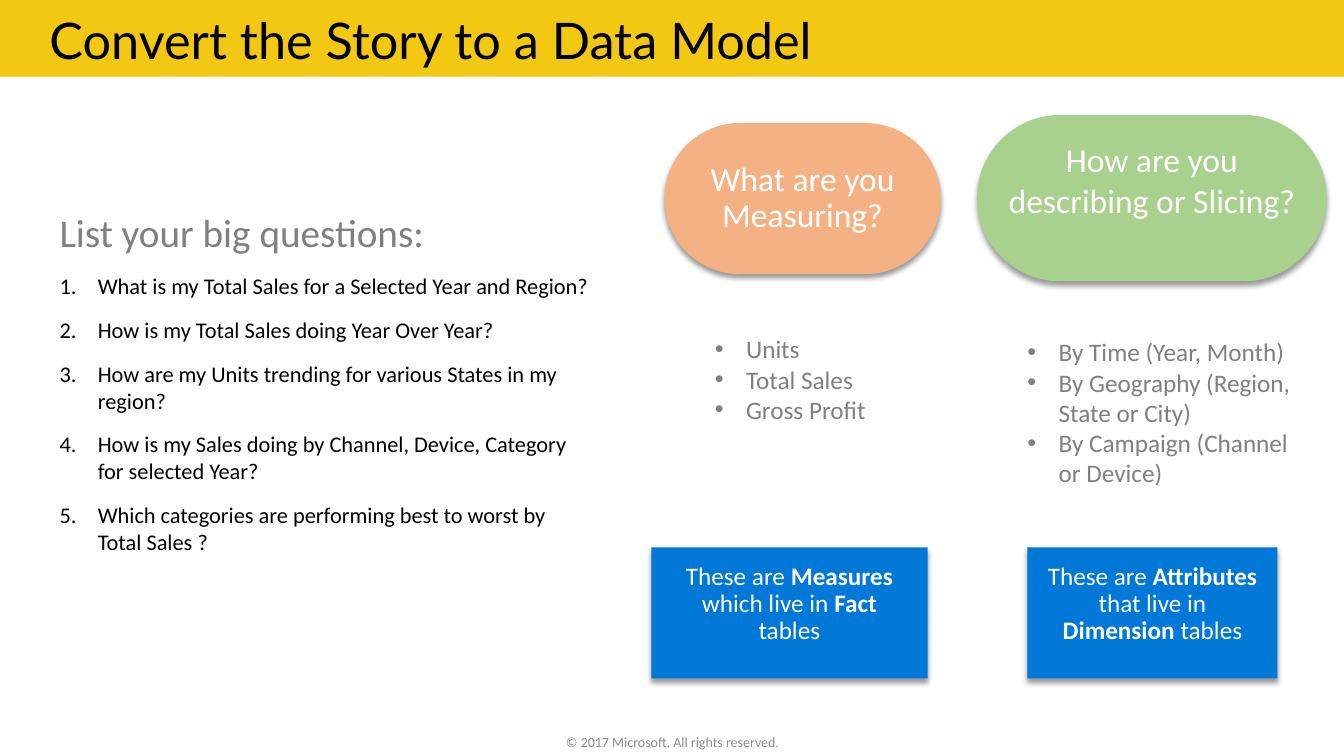
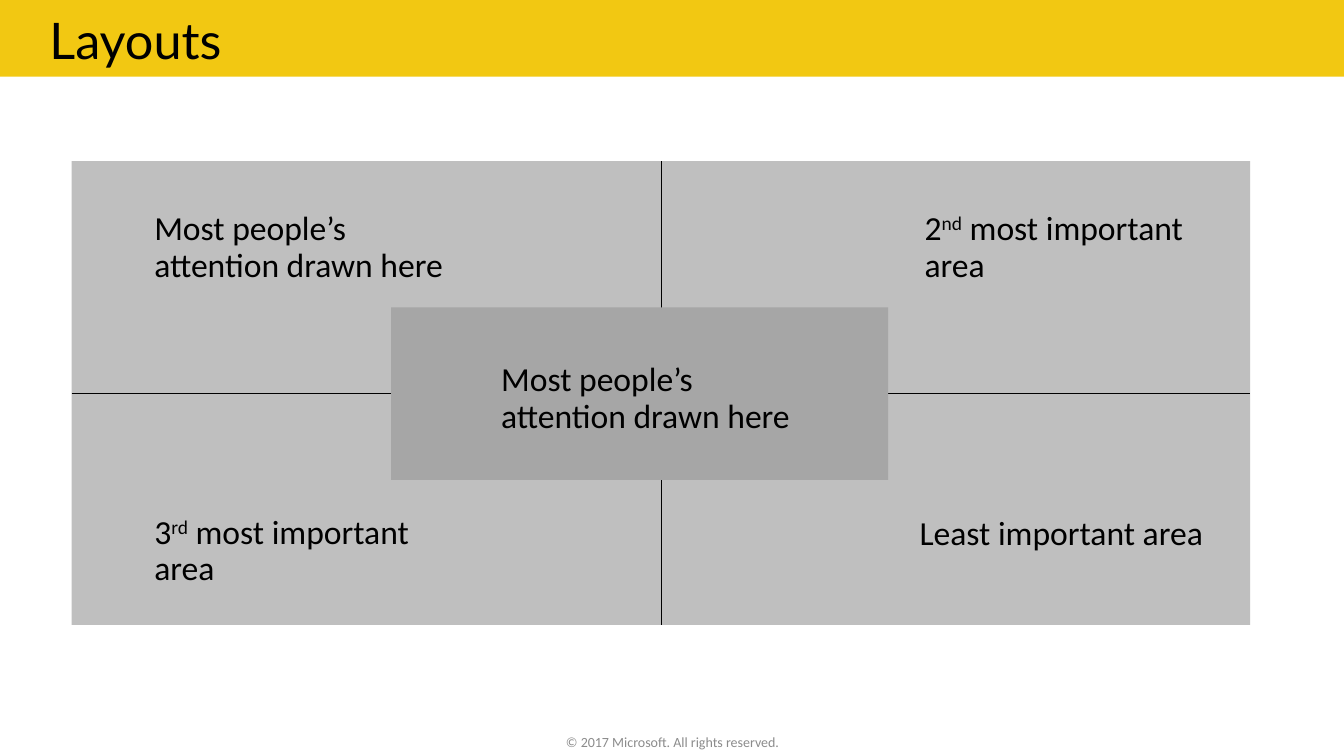
from lxml import etree
from pptx import Presentation
from pptx.dml.color import RGBColor
from pptx.enum.shapes import MSO_CONNECTOR, MSO_SHAPE
from pptx.enum.text import MSO_ANCHOR, MSO_AUTO_SIZE, PP_ALIGN
from pptx.oxml.ns import qn
from pptx.util import Inches, Pt

RECTANGLE, ROUNDED = MSO_SHAPE.RECTANGLE, MSO_SHAPE.ROUNDED_RECTANGLE
STRAIGHT = MSO_CONNECTOR.STRAIGHT
TOP, MIDDLE = MSO_ANCHOR.TOP, MSO_ANCHOR.MIDDLE
LEFT, CENTER = PP_ALIGN.LEFT, PP_ALIGN.CENTER
NO_AUTOFIT = MSO_AUTO_SIZE.NONE

BLACK = RGBColor(0x00, 0x00, 0x00)
WHITE = RGBColor(0xFF, 0xFF, 0xFF)
YELLOW = RGBColor(0xF2, 0xC8, 0x12)
ORANGE = RGBColor(0xF4, 0xB1, 0x83)
GREEN = RGBColor(0xA9, 0xD1, 0x8E)
BLUE = RGBColor(0x00, 0x78, 0xD7)
TEXT_GRAY = RGBColor(0x80, 0x80, 0x80)
FOOTER_GRAY = RGBColor(0x8C, 0x8C, 0x8C)
AREA_GRAY = RGBColor(0xBF, 0xBF, 0xBF)
CENTER_GRAY = RGBColor(0xA6, 0xA6, 0xA6)

TITLE_FONT, BODY_FONT = "Lato", "Calibri"
SLIDE_WIDTH, SLIDE_HEIGHT = 13.33, 7.5
DEFAULT_INSETS, WIDE_INSETS, NO_INSETS = (0.1, 0.05), (0.2, 0.16), (0, 0)
COMPARISON_LAYOUT, TITLE_ONLY_LAYOUT = 4, 5
BULLET = ("buChar", {"char": "•"})
NUMBER = ("buAutoNum", {"type": "arabicPeriod"})

BOLD = {"bold": True}
SUPERSCRIPT = "30000"
FOOTER = "© 2017 Microsoft. All rights reserved."

MODEL_TITLE = "Convert the Story to a Data Model"
QUESTION_HEADING = "List your big questions:"
QUESTIONS = [
    "What is my Total Sales for a Selected Year and Region?",
    "How is my Total Sales doing Year Over Year?",
    "How are my Units trending for various States in my region?",
    "How is my Sales doing by Channel, Device, Category for selected Year?",
    "Which categories are performing best to worst by Total Sales ?",
]
QUESTION_BOX = (0.39, 1.91, 5.7, 4.06)

MODEL_COLUMNS = [
    {
        "placeholder": 2,
        "question": "What are you Measuring?",
        "question_box": (6.59, 1.22, 2.74, 1.5),
        "question_fill": ORANGE,
        "question_format": {"anchor": MIDDLE, "line_spacing": 0.9},
        "items": ["Units", "Total Sales", "Gross Profit"],
        "items_box": (6.89, 3.15, 2.45, 1.5),
        "answer": [("These are ", {}), ("Measures", BOLD), (" which live in ", {}),
                   ("Fact", BOLD), (" tables", {})],
        "answer_box": (6.46, 5.43, 2.74, 1.3),
    },
    {
        "placeholder": 4,
        "question": "How are you describing or Slicing?",
        "question_box": (9.69, 1.14, 3.47, 1.65),
        "question_fill": GREEN,
        "question_format": {},
        "items": ["By Time (Year, Month)", "By Geography (Region, State or City)",
                  "By Campaign (Channel or Device)"],
        "items_box": (9.99, 3.18, 3.05, 2.11),
        "answer": [("These are ", {}), ("Attributes", BOLD), (" that live in ", {}),
                   ("Dimension", BOLD), (" tables", {})],
        "answer_box": (10.19, 5.43, 2.48, 1.3),
    },
]

LAYOUT_TITLE = "Layouts"
AREA_BOX = (0.71, 1.6, 11.69, 4.6)
CENTER_BOX = (3.88, 3.05, 4.93, 1.71)
LABEL_WIDTH, LABEL_HEIGHT = 3.38, 1.05
ATTENTION = [("Most people’s attention drawn here", {})]
AREA_LABELS = [
    (1.33, 1.94, ATTENTION),
    (4.77, 3.44, ATTENTION),
    (1.33, 4.95, [("3", {}), ("rd", {"baseline": SUPERSCRIPT}), (" most important area", {})]),
    (8.97, 1.94, [("2", {}), ("nd", {"baseline": SUPERSCRIPT}), (" most important area", {})]),
    (8.92, 4.96, [("Least important area", {})]),
]


def set_frame(shape, insets=DEFAULT_INSETS, anchor=TOP):
    horizontal, vertical = (Inches(inset) for inset in insets)
    values = {
        "auto_size": NO_AUTOFIT, "word_wrap": True, "vertical_anchor": anchor,
        "margin_left": horizontal, "margin_right": horizontal,
        "margin_top": vertical, "margin_bottom": vertical,
    }
    for name, value in values.items():
        setattr(shape.text_frame, name, value)


def write_paragraph(paragraph, text, size, color, font=BODY_FONT, align=LEFT,
                    line_spacing=1.0, before=0, after=0, bullet=None, indent=0):
    """Write plain text, or a list of (text, format) runs, into the paragraph."""
    values = {"alignment": align, "line_spacing": line_spacing,
              "space_before": Pt(before), "space_after": Pt(after)}
    for name, value in values.items():
        setattr(paragraph, name, value)
    properties = paragraph._p.get_or_add_pPr()
    properties.set("marL", str(Inches(indent)))
    properties.set("indent", str(-Inches(indent)))
    tag, attributes = bullet or ("buNone", {})
    etree.SubElement(properties, qn(f"a:{tag}"), attributes)
    for run_text, run_format in [(text, {})] if isinstance(text, str) else text:
        run = paragraph.add_run()
        run.text = run_text
        run.font.color.rgb = color
        for name, value in {"name": font, "size": Pt(size),
                            "bold": run_format.get("bold", False)}.items():
            setattr(run.font, name, value)
        if "baseline" in run_format:
            run._r.get_or_add_rPr().set("baseline", run_format["baseline"])


def place(shape, box):
    for name, value in zip(("left", "top", "width", "height"), box):
        setattr(shape, name, Inches(value))


def add_block(slide, geometry, box, fill, shadow=False):
    shape = slide.shapes.add_shape(geometry, *map(Inches, box))
    shape.fill.solid()
    shape.fill.fore_color.rgb = fill
    shape.line.fill.background()
    shape.shadow.inherit = False
    if shadow:
        effects = shape._element.spPr.find(qn("a:effectLst"))
        outer = etree.SubElement(effects, qn("a:outerShdw"), {
            "blurRad": str(Pt(4)), "dist": str(Pt(3)), "dir": "5400000", "rotWithShape": "0"})
        color = etree.SubElement(outer, qn("a:srgbClr"), {"val": str(BLACK)})
        etree.SubElement(color, qn("a:alpha"), {"val": "40000"})
    return shape


def add_label(slide, box, text, size, color, insets=DEFAULT_INSETS, **paragraph_format):
    label = slide.shapes.add_textbox(*map(Inches, box))
    set_frame(label, insets)
    write_paragraph(label.text_frame.paragraphs[0], text, size, color, **paragraph_format)


def add_divider(slide, start, end):
    line = slide.shapes.add_connector(STRAIGHT, *map(Inches, start + end))
    line.line.color.rgb = BLACK
    line.line.width = Pt(0.5)
    etree.SubElement(line._element.spPr, qn("a:effectLst"))


def add_slide(presentation, layout, title_text):
    """Add a slide with the shared band, title and footer."""
    slide = presentation.slides.add_slide(presentation.slide_layouts[layout])
    title = slide.shapes.title
    band = add_block(slide, RECTANGLE, (0, 0, SLIDE_WIDTH, 0.76), YELLOW)
    title._element.addprevious(band._element)
    place(title, (0.39, 0.04, 12.14, 0.72))
    set_frame(title)
    write_paragraph(title.text_frame.paragraphs[0], title_text, 36, BLACK, font=TITLE_FONT)
    add_label(slide, (4.42, 7.23, 4.5, 0.25), FOOTER, 10, FOOTER_GRAY, align=CENTER)
    return slide


def fill_list(placeholder, box, items, heading=None, **item_format):
    place(placeholder, box)
    set_frame(placeholder, WIDE_INSETS)
    frame = placeholder.text_frame
    paragraph = frame.paragraphs[0]
    if heading:
        write_paragraph(paragraph, heading, 28, TEXT_GRAY)
        paragraph = frame.add_paragraph()
    for index, item in enumerate(items):
        if index:
            paragraph = frame.add_paragraph()
        write_paragraph(paragraph, item, **item_format)


def build_model_slide(presentation):
    slide = add_slide(presentation, COMPARISON_LAYOUT, MODEL_TITLE)
    placeholders = {shape.placeholder_format.idx: shape for shape in slide.placeholders}
    fill_list(placeholders[1], QUESTION_BOX, QUESTIONS, QUESTION_HEADING, size=16,
              color=BLACK, before=12, bullet=NUMBER, indent=0.38)
    unused = placeholders[3]._element
    unused.getparent().remove(unused)

    for column in MODEL_COLUMNS:
        question_format = dict(column["question_format"])
        question = add_block(slide, ROUNDED, column["question_box"],
                             column["question_fill"], shadow=True)
        question.adjustments[0] = 0.5
        set_frame(question, NO_INSETS, question_format.pop("anchor", TOP))
        write_paragraph(question.text_frame.paragraphs[0], column["question"], 24, WHITE,
                        align=CENTER, **question_format)
        fill_list(placeholders[column["placeholder"]], column["items_box"], column["items"],
                  size=18, color=TEXT_GRAY, bullet=BULLET, indent=0.31)
        answer = add_block(slide, RECTANGLE, column["answer_box"], BLUE, shadow=True)
        set_frame(answer, WIDE_INSETS)
        write_paragraph(answer.text_frame.paragraphs[0], column["answer"], 18, WHITE,
                        align=CENTER, line_spacing=0.9)


def build_layout_slide(presentation):
    slide = add_slide(presentation, TITLE_ONLY_LAYOUT, LAYOUT_TITLE)
    left, top, width, height = AREA_BOX
    middle_x, middle_y = left + width / 2, top + height / 2
    add_block(slide, RECTANGLE, AREA_BOX, AREA_GRAY)
    add_divider(slide, (middle_x, top), (middle_x, top + height))
    add_divider(slide, (left, middle_y), (left + width, middle_y))
    add_block(slide, RECTANGLE, CENTER_BOX, CENTER_GRAY)
    for label_left, label_top, text in AREA_LABELS:
        add_label(slide, (label_left, label_top, LABEL_WIDTH, LABEL_HEIGHT), text, 24, BLACK,
                  WIDE_INSETS, line_spacing=0.9, after=6)


def main():
    presentation = Presentation()
    presentation.slide_width = Inches(SLIDE_WIDTH)
    presentation.slide_height = Inches(SLIDE_HEIGHT)
    build_model_slide(presentation)
    build_layout_slide(presentation)
    presentation.save("out.pptx")


if __name__ == "__main__":
    main()
